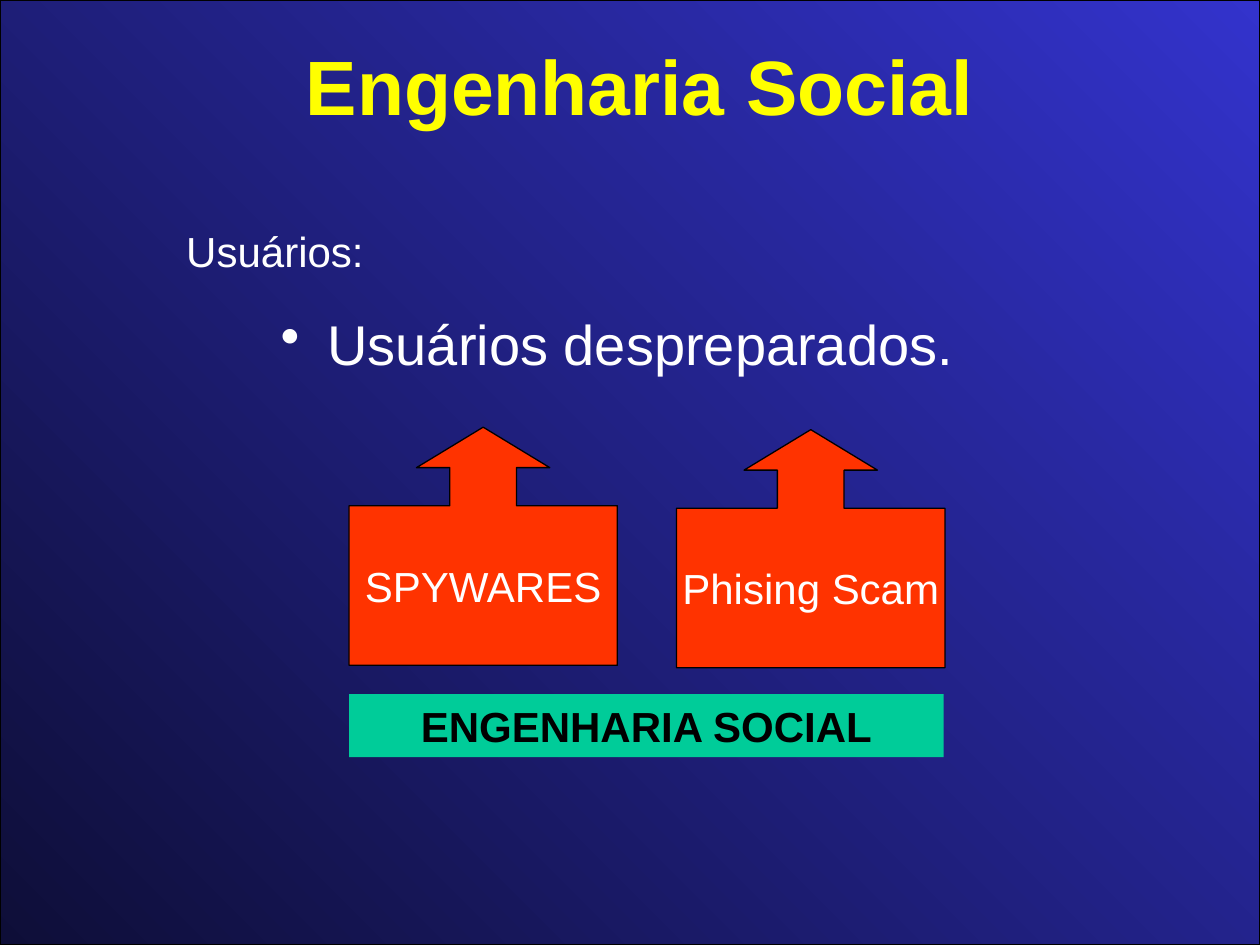
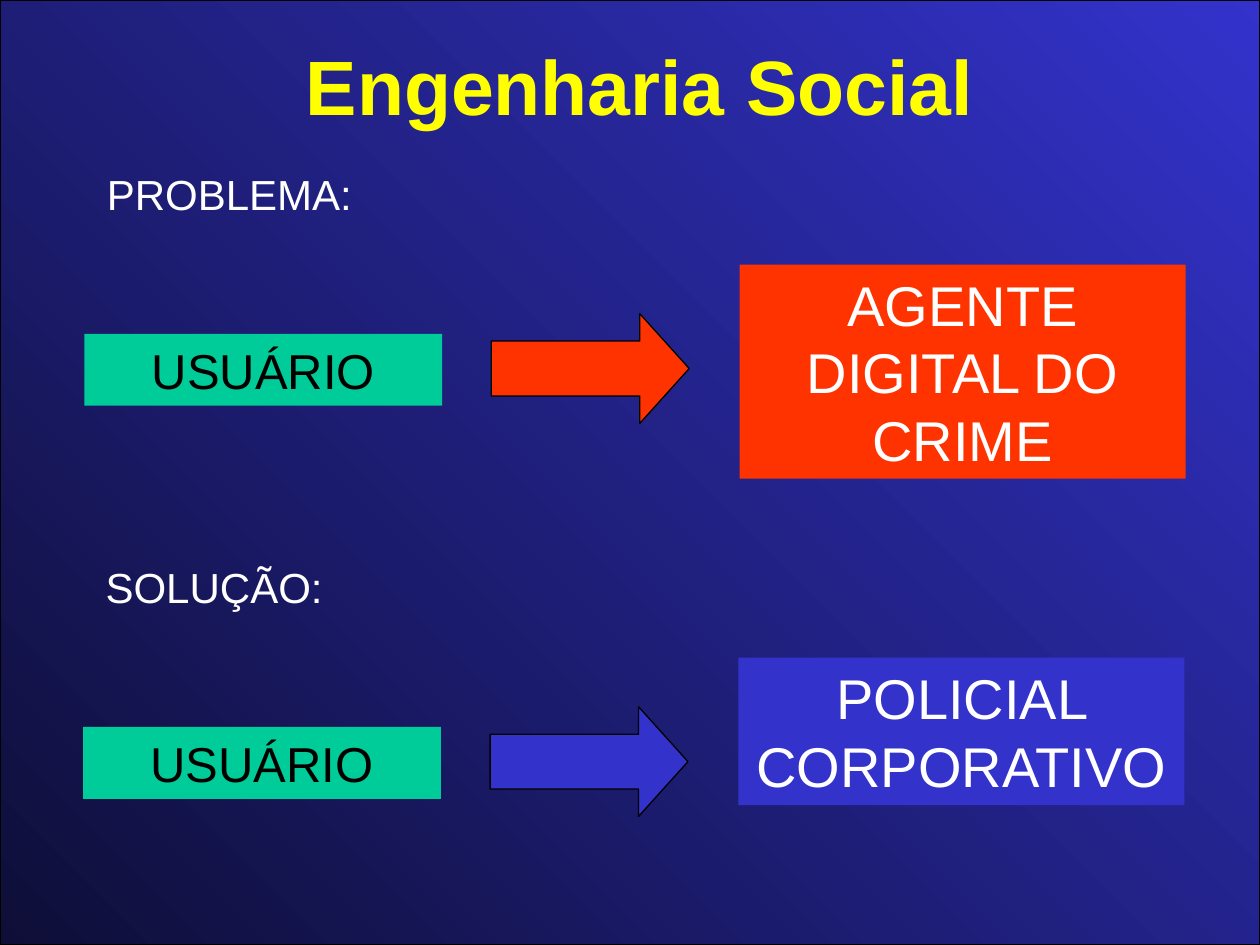
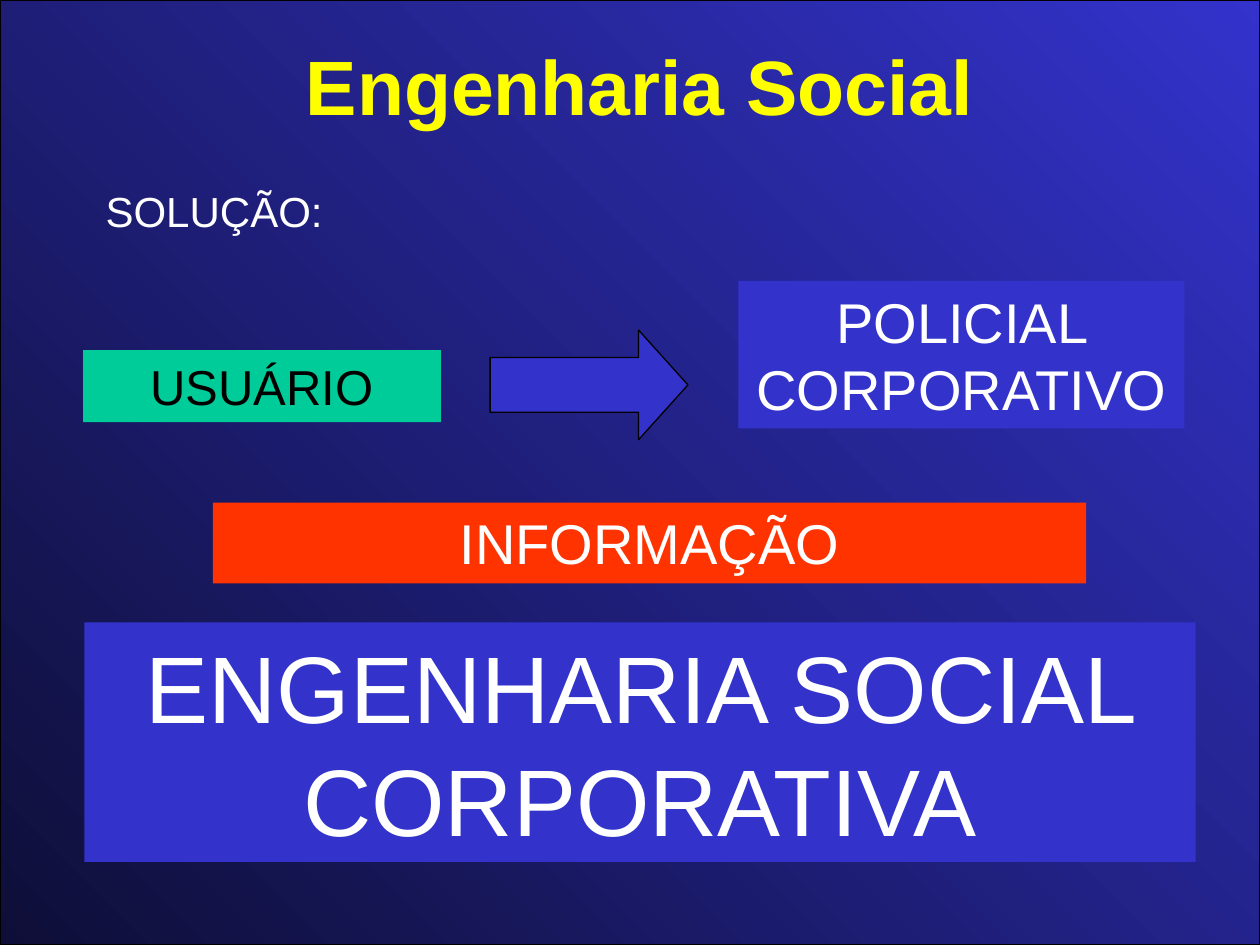
"""Build three slides on social engineering."""
from dataclasses import dataclass

import pptx
import pptx.dml.color
import pptx.enum.shapes
import pptx.enum.text
import pptx.oxml
import pptx.oxml.ns
import pptx.shapes.autoshape
import pptx.slide
import pptx.util

Inches = pptx.util.Inches
Pt = pptx.util.Pt
RGB = pptx.dml.color.RGBColor
SHAPE = pptx.enum.shapes.MSO_SHAPE
ALIGN = pptx.enum.text.PP_ALIGN
ANCHOR = pptx.enum.text.MSO_ANCHOR


@dataclass(frozen=True)
class Theme:
    font: str = "Arial"
    navy: RGB = RGB(0x0E, 0x0E, 0x38)
    blue: RGB = RGB(0x33, 0x33, 0xCC)
    red: RGB = RGB(0xFF, 0x33, 0x00)
    green: RGB = RGB(0x00, 0xCC, 0x99)
    yellow: RGB = RGB(0xFF, 0xFF, 0x00)
    white: RGB = RGB(0xFF, 0xFF, 0xFF)
    black: RGB = RGB(0x00, 0x00, 0x00)
    title: int = 44
    label: int = 24
    user: int = 28
    body: int = 32
    display: int = 54
    outline: float = 0.75


THEME = Theme()


@dataclass(frozen=True)
class Box:
    left: float
    top: float
    width: float
    height: float

    def lengths(self) -> tuple:
        return tuple(map(Inches, (self.left, self.top, self.width, self.height)))


@dataclass(frozen=True)
class Flow:
    label: str
    target: str
    left: float
    top: float
    target_height: float
    color: RGB


@dataclass(frozen=True)
class Callout:
    text: str
    left: float
    top: float


def write(tf: pptx.text.text.TextFrame, text: str, *, size: int,
          color: RGB = THEME.white, bold: bool = False, align: ALIGN = ALIGN.CENTER,
          anchor: ANCHOR = ANCHOR.TOP, wrap: bool = True, spacing: float = 1.0,
          bullet: bool = False, append: bool = False) -> None:
    tf.word_wrap = wrap
    tf.vertical_anchor = anchor
    p = tf.add_paragraph() if append else tf.paragraphs[0]
    p.alignment = align
    p.line_spacing = spacing
    if bullet:
        p_pr = p._p.get_or_add_pPr()
        p_pr.set("marL", str(Inches(1.12)))
        p_pr.set("indent", str(Inches(-0.37)))
        bu = pptx.oxml.parse_xml(f'<a:buChar {pptx.oxml.ns.nsdecls("a")} char="•"/>')
        p_pr.append(bu)
    r = p.add_run()
    r.text = text
    r.font.name = THEME.font
    r.font.size = Pt(size)
    r.font.bold = bold
    r.font.color.rgb = color


def add_shape(slide: pptx.slide.Slide, kind: SHAPE, box: Box, fill: RGB,
              outlined: bool = False,
              adjustments: tuple = ()) -> pptx.shapes.autoshape.Shape:
    sp = slide.shapes.add_shape(kind, *box.lengths())
    sp.shadow.inherit = False
    sp.fill.solid()
    sp.fill.fore_color.rgb = fill
    if outlined:
        sp.line.color.rgb = THEME.black
        sp.line.width = Pt(THEME.outline)
    else:
        sp.line.fill.background()
    for i, value in enumerate(adjustments):
        sp.adjustments[i] = value
    return sp


def add_panel(slide: pptx.slide.Slide, box: Box, text: str, fill: RGB, size: int,
              color: RGB = THEME.white, bold: bool = False) -> None:
    sp = add_shape(slide, SHAPE.RECTANGLE, box, fill)
    write(sp.text_frame, text, size=size, color=color, bold=bold)


def add_text(slide: pptx.slide.Slide, box: Box, text: str,
             **style) -> pptx.text.text.TextFrame:
    tf = slide.shapes.add_textbox(*box.lengths()).text_frame
    write(tf, text, **style)
    return tf


def add_slide(prs: pptx.presentation.Presentation) -> pptx.slide.Slide:
    slide = prs.slides.add_slide(prs.slide_layouts[6])
    backdrop = add_shape(slide, SHAPE.RECTANGLE, Box(0, 0, 10, 7.5), THEME.blue, True)
    backdrop.fill.gradient()
    backdrop.fill.gradient_angle = 45
    for stop, color in zip(backdrop.fill.gradient_stops, (THEME.navy, THEME.blue)):
        stop.color.rgb = color
    add_text(slide, Box(0.83, 0.17, 8.5, 1), "Engenharia Social", size=THEME.title,
             color=THEME.yellow, bold=True, anchor=ANCHOR.MIDDLE)
    return slide


def add_flow(slide: pptx.slide.Slide, flow: Flow) -> None:
    x, y = flow.left, flow.top
    add_text(slide, Box(x + 0.08, y, 8.5, 0.54), flow.label, size=THEME.label,
             align=ALIGN.LEFT, spacing=1.1)
    add_panel(slide, Box(x, y + 1.4, 2.84, 0.57), "USUÁRIO", THEME.green,
              THEME.user, THEME.black)
    add_shape(slide, SHAPE.RIGHT_ARROW, Box(x + 3.23, y + 1.24, 1.57, 0.87),
              flow.color, True, (0.5, 0.45))
    add_panel(slide, Box(x + 5.2, y + 0.85, 3.54, flow.target_height), flow.target,
              flow.color, THEME.body)


def add_callout(slide: pptx.slide.Slide, callout: Callout) -> None:
    sp = add_shape(slide, SHAPE.UP_ARROW_CALLOUT,
                   Box(callout.left, callout.top, 2.13, 1.89), THEME.red, True,
                   (0.28, 0.28, 0.17, 0.67))
    write(sp.text_frame, callout.text, size=THEME.label, anchor=ANCHOR.MIDDLE, wrap=False)


def build_users(prs: pptx.presentation.Presentation) -> None:
    slide = add_slide(prs)
    tf = add_text(slide, Box(1.38, 1.7, 7.87, 1.34), "Usuários:", size=THEME.label,
                  align=ALIGN.LEFT, spacing=1.1)
    write(tf, "Usuários despreparados.", size=THEME.body, align=ALIGN.LEFT,
          spacing=1.5, bullet=True, append=True)
    for callout in (Callout("SPYWARES", 2.77, 3.39), Callout("Phising Scam", 5.37, 3.41)):
        add_callout(slide, callout)
    add_panel(slide, Box(2.77, 5.51, 4.72, 0.5), "ENGENHARIA SOCIAL", THEME.green,
              THEME.label, THEME.black, bold=True)


def build_problem(prs: pptx.presentation.Presentation) -> None:
    slide = add_slide(prs)
    for flow in (
        Flow("PROBLEMA:", "AGENTE DIGITAL DO CRIME", 0.67, 1.25, 1.7, THEME.red),
        Flow("SOLUÇÃO:", "POLICIAL CORPORATIVO", 0.66, 4.37, 1.17, THEME.blue),
    ):
        add_flow(slide, flow)


def build_solution(prs: pptx.presentation.Presentation) -> None:
    slide = add_slide(prs)
    add_flow(slide, Flow("SOLUÇÃO:", "POLICIAL CORPORATIVO", 0.66, 1.38, 1.17, THEME.blue))
    add_panel(slide, Box(0.67, 4.94, 8.82, 1.9), "ENGENHARIA SOCIAL CORPORATIVA",
              THEME.blue, THEME.display)
    add_panel(slide, Box(1.69, 3.99, 6.93, 0.64), "INFORMAÇÃO", THEME.red, THEME.body)


def main() -> None:
    prs = pptx.Presentation()
    prs.slide_width, prs.slide_height = Inches(10), Inches(7.5)
    for build in (build_users, build_problem, build_solution):
        build(prs)
    prs.save("out.pptx")


if __name__ == "__main__":
    main()
